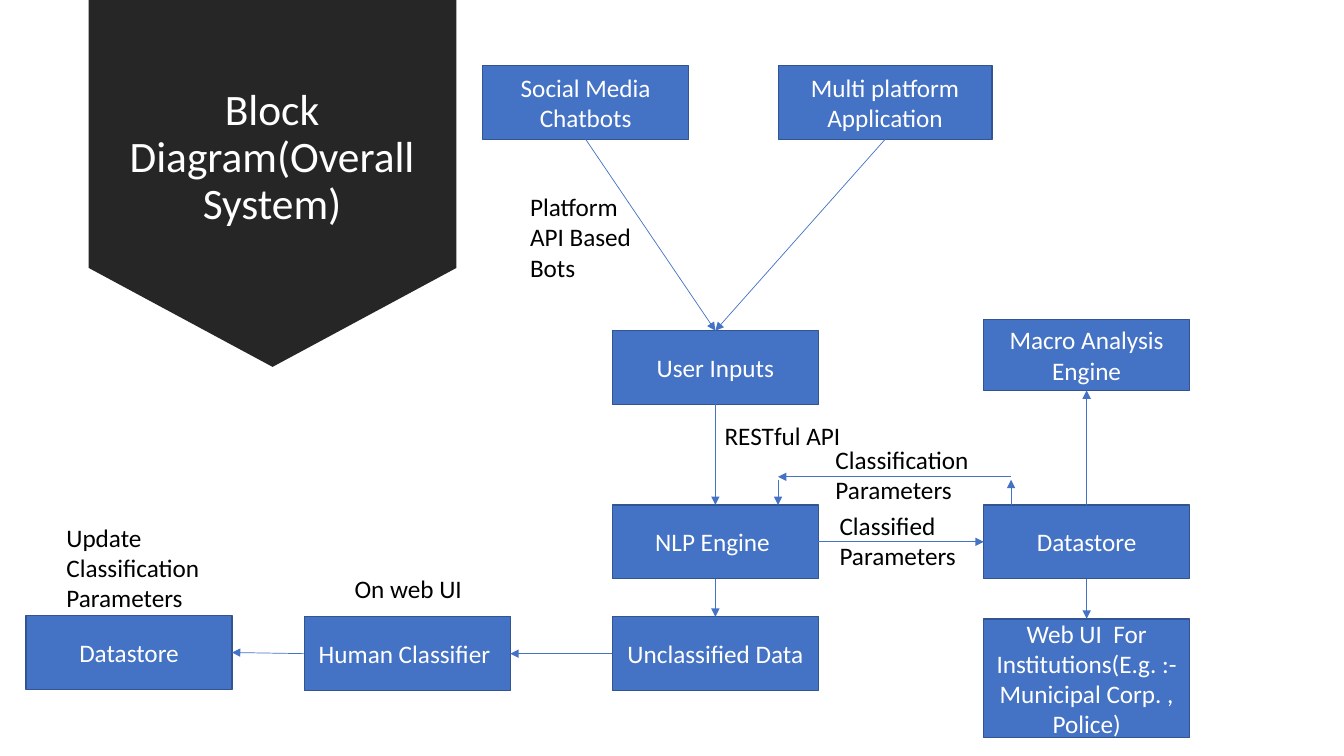
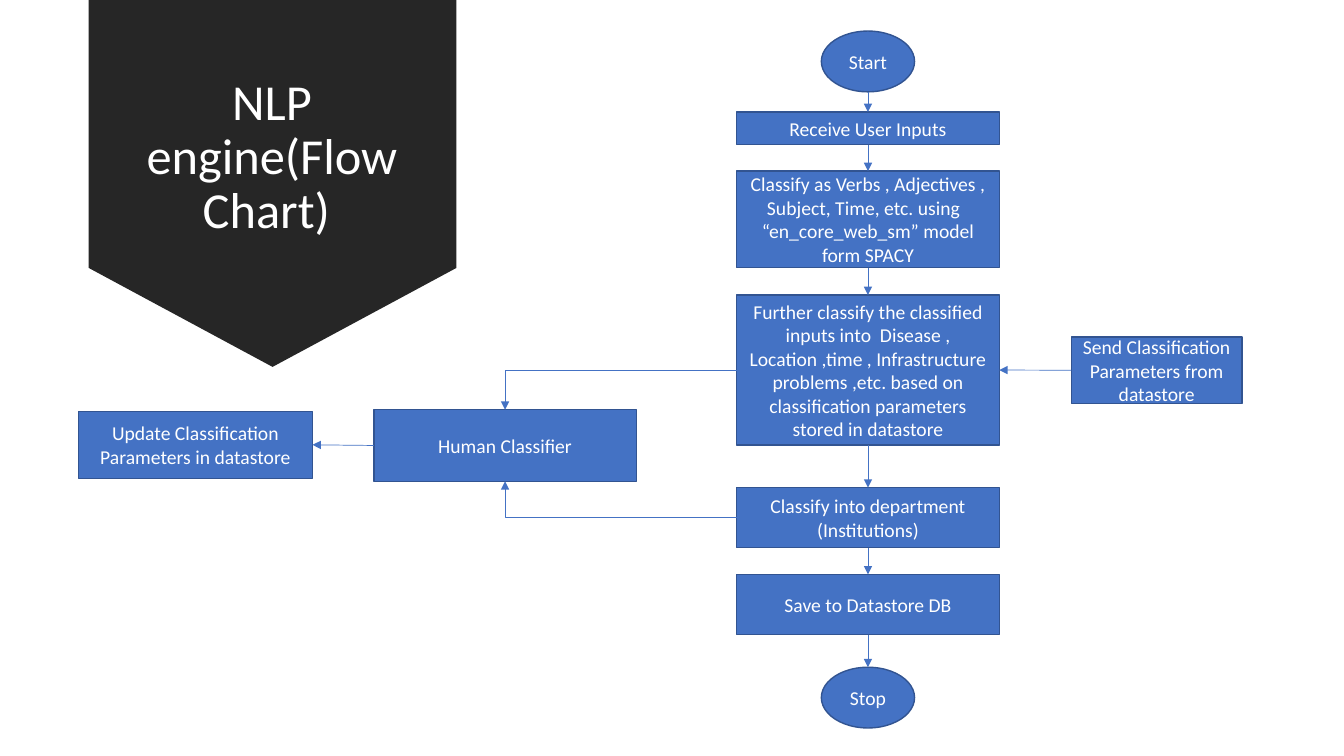
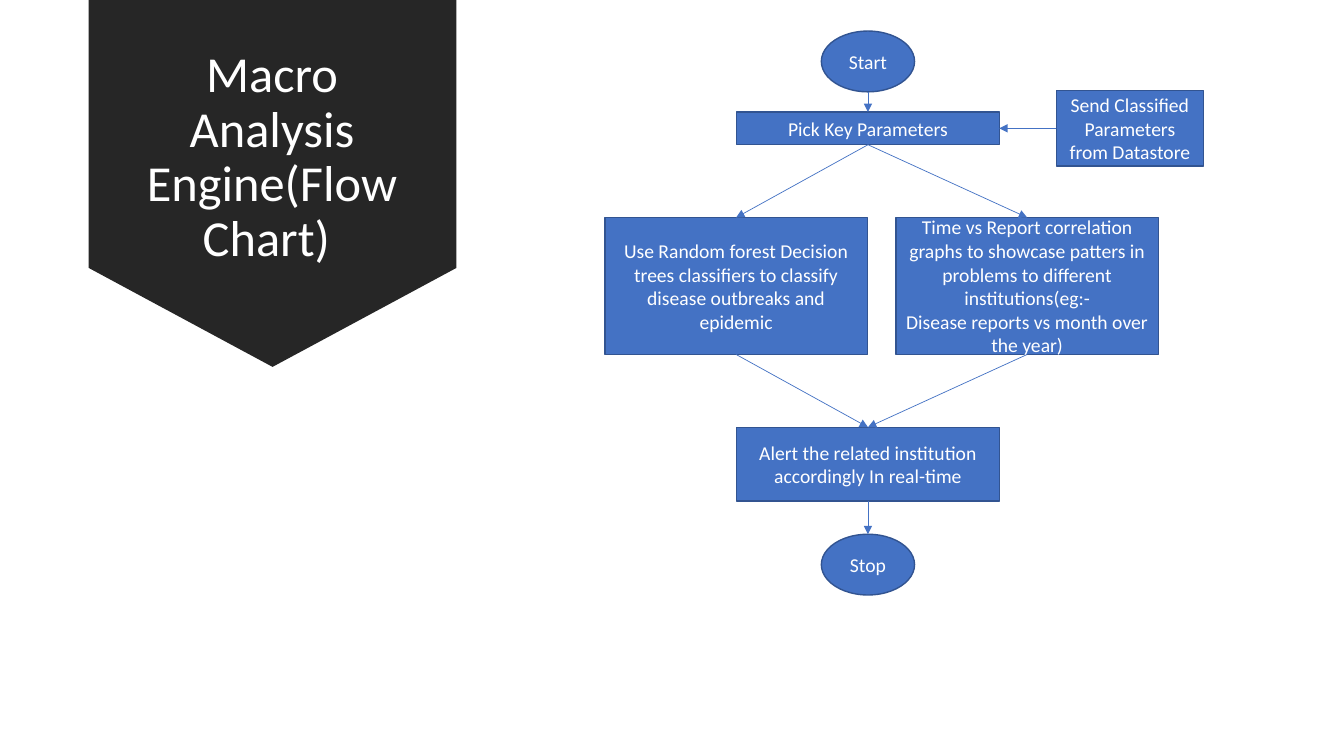
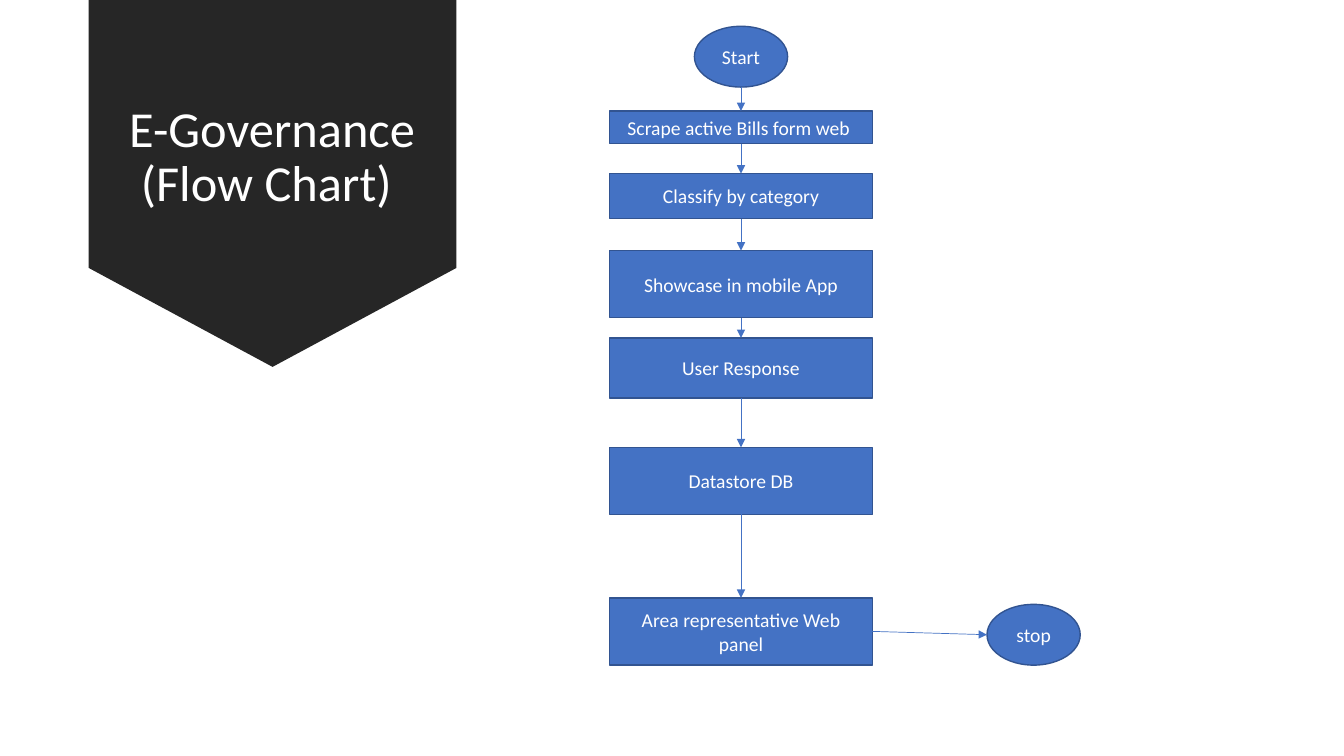
from dataclasses import dataclass
from functools import partial
from itertools import pairwise

from lxml.etree import SubElement
from pptx import Presentation
from pptx.dml.color import RGBColor
from pptx.enum.shapes import MSO_CONNECTOR, MSO_SHAPE
from pptx.enum.text import MSO_ANCHOR, PP_ALIGN
from pptx.oxml.ns import qn
from pptx.util import Pt


@dataclass(frozen=True)
class Theme:
    font: str = "Calibri"
    dark: str = "262626"
    blue: str = "4472C4"
    edge: str = "325491"
    white: str = "FFFFFF"
    black: str = "000000"
    rim: float = 1
    wire: float = 0.5
    label: int = 18


@dataclass(frozen=True)
class Node:
    text: str
    mid: float
    top: float
    high: float
    wide: float = 187.5
    form: MSO_SHAPE = MSO_SHAPE.RECTANGLE

    def port(self, side):
        """Middle of the top, left, bottom or right edge."""
        dx, dy = {"t": (0, 0), "l": (-0.5, 0.5), "b": (0, 1), "r": (0.5, 0.5)}[side]
        return self.mid + dx * self.wide, self.top + dy * self.high


THEME = Theme()
BANNER = (63.4, -0.5, 262.6, 262.6)
HEAD = (80.6, 15.1, 227.5, 195.8)
block = partial(Node, high=52.6, wide=147)
oval = partial(Node, high=43.4, wide=66.6, form=MSO_SHAPE.OVAL)


def chain(*names):
    """Downward links through the named nodes."""
    return [(a, b, "bt") for a, b in pairwise(names)]


MAIN, SIDE, FLOW, BILL = 511, 776.2, 620, 529.3

SLIDES = [
    {
        "title": "Block Diagram(Overall System)", "head": 31, "size": 18,
        "nodes": {
            "macro": block("Macro Analysis Engine", SIDE, 228.2, high=50.7),
            "data": block("Unclassified Data", MAIN, 440.6),
            "nlp": block("NLP Engine ", MAIN, 360.7),
            "store": block("Datastore", SIDE, 360.7),
            "inputs": block("User Inputs", MAIN, 236.2),
            "web": block("Web UI  For Institutions(E.g. :- Municipal Corp. , Police)",
                         SIDE, 442, high=85),
            "app": block("Multi platform Application", 632.2, 46.6, high=53, wide=152.6),
            "bots": block("Social Media Chatbots", 418.4, 47),
            "human": block("Human Classifier ", 291, 440.6),
            "rules": block("Datastore", 92.2, 439.8),
        },
        "links": [
            *chain("bots", "inputs", "nlp", "data"), *chain("app", "inputs"),
            *chain("store", "web"), ("store", "macro", "tb"), ("nlp", "store", "rl"),
            ("data", "human", "lr"), ("human", "rules", "lr"),
        ],
        "wires": [
            ((722.2, 360.7), (722.2, 342.7)),
            ((722.2, 340.6), (555.8, 340.6)),
            ((555.8, 342.7), (555.8, 360.7)),
        ],
        "labels": [
            ("RESTful API", 510.5, 296.7, 105, 29),
            ("Platform API Based Bots", 371.5, 133.2, 93, 73),
            ("Classification Parameters", 589.7, 313.9, 118, 51),
            ("Classified Parameters", 592.6, 360.7, 98.6, 53),
            ("Update\nClassification Parameters", 40.3, 369.4, 118, 73),
            ("On web UI", 246.2, 406, 100, 29),
        ],
    },
    {
        "title": "NLP engine(Flow Chart) ", "head": 36, "size": 14,
        "nodes": {
            "start": oval("Start", FLOW, 22.2),
            "input": Node("Receive User Inputs", FLOW, 80, 23.4),
            "words": Node("Classify as Verbs , Adjectives , Subject, Time, etc. using  \n"
                          "“en_core_web_sm” model form SPACY", FLOW, 122.2, 69),
            "topics": Node("Further classify the classified inputs into  Disease , "
                           "Location ,time , Infrastructure problems ,etc. based on "
                           "classification parameters stored in datastore",
                           FLOW, 210.7, 107.3),
            "send": Node("Send Classification Parameters from datastore",
                         826.2, 240.6, 47.7, 121.8),
            "dept": Node("Classify into department (Institutions)", FLOW, 348.3, 43),
            "human": Node("Human Classifier", 360.8, 292.6, 51.2),
            "update": Node("Update Classification Parameters in datastore",
                           139.6, 293.9, 47.7, 167.2),
            "save": Node("Save to Datastore DB", FLOW, 410.3, 43),
            "stop": oval("Stop", FLOW, 476.6),
        },
        "links": [
            *chain("start", "input", "words", "topics", "dept", "save", "stop"),
            ("send", "topics", "lr"), ("topics", "human", "lt"),
            ("dept", "human", "lb"), ("human", "update", "lr"),
        ],
    },
    {
        "title": "Macro Analysis Engine(Flow Chart) ", "head": 36, "size": 14,
        "nodes": {
            "start": oval("Start", FLOW, 22.2),
            "pick": Node("Pick Key Parameters", FLOW, 80, 23.4),
            "send": Node("Send Classified Parameters from Datastore",
                         807.1, 64.7, 54, 105),
            "graphs": Node("Time vs Report correlation graphs to showcase patters in "
                           "problems to different institutions(eg:-\n"
                           "Disease reports vs month over the year)", 733.7, 155.4, 97.8),
            "forest": Node("Use Random forest Decision trees classifiers to classify "
                           "disease outbreaks and epidemic", 525.8, 155.4, 97.8),
            "alert": Node("Alert the related institution accordingly In real-time",
                          FLOW, 305.2, 52.6),
            "stop": oval("Stop", FLOW, 381.6),
        },
        "links": [
            *chain("start", "pick", "forest", "alert", "stop"),
            *chain("pick", "graphs", "alert"), ("send", "pick", "lr"),
        ],
    },
    {
        "title": "E-Governance (Flow Chart) ", "head": 36, "size": 14,
        "nodes": {
            "start": oval("Start", BILL, 18.8),
            "scrape": Node("Scrape active Bills form web ", BILL, 79.3, 23.4),
            "sort": Node("Classify by category", BILL, 124, 32.2),
            "show": Node("Showcase in mobile App", BILL, 179, 48),
            "reply": Node("User Response", BILL, 241.4, 43),
            "store": Node("Datastore DB", BILL, 319.5, 48),
            "panel": Node("Area representative Web panel", BILL, 427, 48),
            "stop": oval("stop", 738.3, 431.7),
        },
        "links": [
            *chain("start", "scrape", "sort", "show", "reply", "store", "panel"),
            ("panel", "stop", "rl"),
        ],
    },
]


def put(item, **vals):
    for name, val in vals.items():
        setattr(item, name, val)


def paint(part, tint):
    part.solid()
    part.fore_color.rgb = RGBColor.from_string(tint)


def write(shape, text, size, tint, align=PP_ALIGN.CENTER, anchor=MSO_ANCHOR.MIDDLE,
          space=None):
    frame = shape.text_frame
    put(frame, text=text, word_wrap=True, vertical_anchor=anchor)
    for para in frame.paragraphs:
        put(para, alignment=align, line_spacing=space)
        put(para.font, size=Pt(size), name=THEME.font)
        paint(para.font.fill, tint)


def add_head(slide, text, size):
    shape = slide.shapes.add_shape(MSO_SHAPE.DOWN_ARROW, *map(Pt, BANNER))
    shape.shadow.inherit = False
    shape.adjustments[0], shape.adjustments[1] = 1, 0.269
    paint(shape.fill, THEME.dark)
    shape.line.fill.background()
    write(slide.shapes.add_textbox(*map(Pt, HEAD)), text, size, THEME.white, space=0.9)


def add_node(slide, node, size):
    spot = (node.mid - node.wide / 2, node.top, node.wide, node.high)
    shape = slide.shapes.add_shape(node.form, *map(Pt, spot))
    shape.shadow.inherit = False
    paint(shape.fill, THEME.blue)
    paint(shape.line.fill, THEME.edge)
    shape.line.width = Pt(THEME.rim)
    write(shape, node.text, size, THEME.white)
    return shape


def add_wire(slide, start, end, bent=False):
    kind = MSO_CONNECTOR.ELBOW if bent else MSO_CONNECTOR.STRAIGHT
    wire = slide.shapes.add_connector(kind, *map(Pt, start + end))
    paint(wire.line.fill, THEME.blue)
    wire.line.width = Pt(THEME.wire)
    props = wire._element.spPr
    if bent:
        props.find(qn("a:prstGeom")).set("prst", "bentConnector2")
    SubElement(props.find(qn("a:ln")), qn("a:tailEnd"), type="triangle")
    SubElement(props, qn("a:effectLst"))
    return wire


def add_link(slide, nodes, shapes, names, sides):
    """Join two nodes, turning one corner if the sides are at right angles."""
    ends = [nodes[name].port(side) for name, side in zip(names, sides)]
    bent = (sides[0] in "lr") != (sides[1] in "lr")
    wire = add_wire(slide, *ends, bent)
    glue = wire._element.find(".//" + qn("p:cNvCxnSpPr"))
    for tag, name, side in zip(("a:stCxn", "a:endCxn"), names, sides):
        step = 2 if nodes[name].form == MSO_SHAPE.OVAL else 1
        SubElement(glue, qn(tag), id=str(shapes[name].shape_id),
                   idx=str("tlbr".index(side) * step))


def add_slide(deck, plan):
    slide = deck.slides.add_slide(deck.slide_layouts[6])
    add_head(slide, plan["title"], plan["head"])
    nodes = plan["nodes"]
    shapes = {name: add_node(slide, node, plan["size"]) for name, node in nodes.items()}
    for *names, sides in plan["links"]:
        add_link(slide, nodes, shapes, names, sides)
    for start, end in plan.get("wires", []):
        add_wire(slide, start, end)
    for text, *spot in plan.get("labels", []):
        write(slide.shapes.add_textbox(*map(Pt, spot)), text, THEME.label, THEME.black,
              PP_ALIGN.LEFT, MSO_ANCHOR.TOP)


def main():
    deck = Presentation()
    put(deck, slide_width=Pt(960), slide_height=Pt(540))
    for plan in SLIDES:
        add_slide(deck, plan)
    deck.save("out.pptx")


if __name__ == "__main__":
    main()
